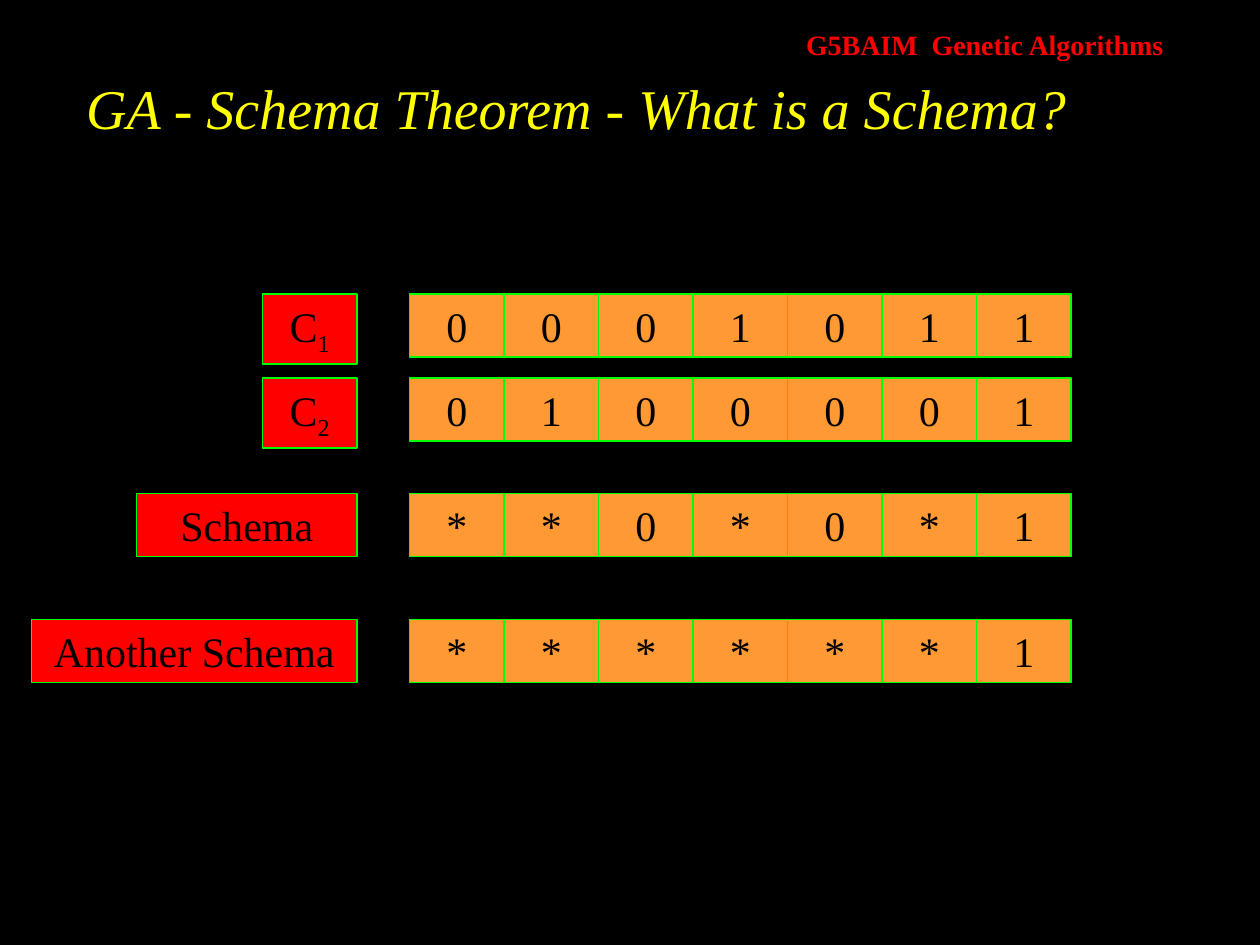
import pptx
import pptx.dml.color
import pptx.enum.shapes
import pptx.enum.text
import pptx.util

PX = 7620  # EMU per px, 120 px to the inch
FONT = "Times New Roman"
COLORS = {
    "background": "000000",
    "header": "FF0000",
    "title": "FFFF00",
    "label": "FF0000",
    "gene": "FF9933",
    "line": "00FF00",
    "text": "000000",
}
ALIGN = pptx.enum.text.PP_ALIGN
ANCHOR = pptx.enum.text.MSO_ANCHOR
AUTO_SIZE = pptx.enum.text.MSO_AUTO_SIZE

GENE_LEFT, GENE_W, ROW_H = 390, 90, 60
LABEL_RIGHT = 340

# top, label, subscript, label width, label height, genes
ROWS = [
    (280, "C", "1", 90, 67, "0001011"),
    (360, "C", "2", 90, 67, "0100001"),
    (470, "Schema", "", 210, ROW_H, "**0*0*1"),
    (590, "Another Schema", "", 310, ROW_H, "******1"),
]


def emu(*lengths):
    return [pptx.util.Emu(n * PX) for n in lengths]


def rgb(name):
    return pptx.dml.color.RGBColor.from_string(COLORS[name])


def add_run(p, text, size, color, bold=False, italic=False):
    r = p.add_run()
    r.text = text
    r.font.name = FONT
    r.font.size = pptx.util.Pt(size)
    r.font.bold = bold
    r.font.italic = italic
    r.font.color.rgb = rgb(color)
    return r


def add_box(shapes, box, color, text, subscript=""):
    sp = shapes.add_shape(pptx.enum.shapes.MSO_SHAPE.RECTANGLE, *emu(*box))
    sp.shadow.inherit = False
    sp.fill.solid()
    sp.fill.fore_color.rgb = rgb(color)
    sp.line.color.rgb = rgb("line")
    sp.line.width = pptx.util.Pt(1)
    tf = sp.text_frame
    tf.word_wrap = True
    tf.auto_size = AUTO_SIZE.SHAPE_TO_FIT_TEXT
    tf.vertical_anchor = ANCHOR.TOP
    p = tf.paragraphs[0]
    p.alignment = ALIGN.CENTER
    p.space_before = pptx.util.Pt(15)
    add_run(p, text, 24, "text")
    if subscript:
        r = add_run(p, subscript, 24, "text")
        r.font._element.set("baseline", "-25000")


def add_header(s, box):
    tf = s.shapes.add_textbox(*emu(*box)).text_frame
    tf.word_wrap = True
    tf.auto_size = AUTO_SIZE.SHAPE_TO_FIT_TEXT
    p = tf.paragraphs[0]
    p.alignment = ALIGN.RIGHT
    p.space_before = pptx.util.Pt(10)
    add_run(p, "G5BAIM  Genetic Algorithms", 16, "header", bold=True)


def add_title(s, box):
    sp = s.shapes.title
    sp.left, sp.top, sp.width, sp.height = emu(*box)
    tf = sp.text_frame
    tf.word_wrap = True
    tf.auto_size = AUTO_SIZE.NONE
    tf.vertical_anchor = ANCHOR.BOTTOM
    p = tf.paragraphs[0]
    p.alignment = ALIGN.LEFT
    p.space_after = pptx.util.Pt(3)
    add_run(p, "GA - Schema Theorem - What is a Schema?", 32, "title", italic=True)


def add_chromosome(s, left, top, genes):
    group = s.shapes.add_group_shape()
    for i, gene in enumerate(genes):
        box = (left + i * GENE_W, top, GENE_W, ROW_H)
        add_box(group.shapes, box, "gene", gene)


def main():
    prs = pptx.Presentation()
    prs.slide_width, prs.slide_height = emu(1200, 900)
    s = prs.slides.add_slide(prs.slide_layouts.get_by_name("Title Only"))
    s.background.fill.solid()
    s.background.fill.fore_color.rgb = rgb("background")

    # Heading
    add_header(s, (60, 20, 1060, 44))
    add_title(s, (70, 70, 1020, 70))

    # Labelled chromosomes and schemata
    for top, label, subscript, width, height, genes in ROWS:
        box = (LABEL_RIGHT - width, top, width, height)
        add_box(s.shapes, box, "label", label, subscript)
        add_chromosome(s, GENE_LEFT, top, genes)

    prs.save("out.pptx")


if __name__ == "__main__":
    main()
